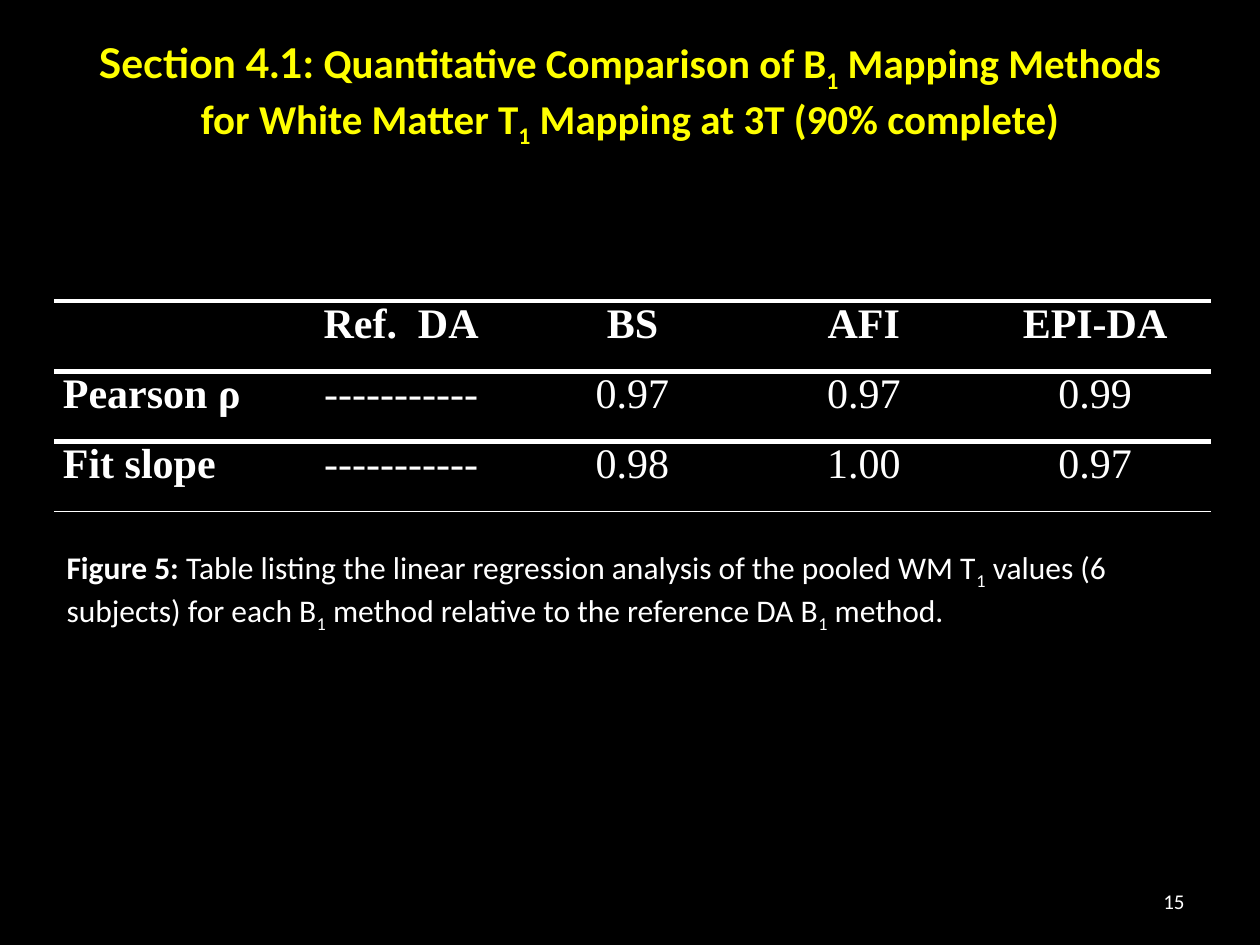
"""Build the slide on the regression of T1 values for each B1 method."""
from lxml.etree import SubElement as Sub
from pptx import Presentation
from pptx.dml.color import RGBColor as Rgb
from pptx.enum.text import MSO_ANCHOR as Anchor, MSO_AUTO_SIZE as Auto, PP_ALIGN as Align
from pptx.oxml.ns import qn
from pptx.util import Inches, Pt

WHITE, YELLOW, BLACK = "FFFFFF", "FFFF00", "000000"
PLAIN = "{2D5ABB26-0587-4C30-8999-92F81FD0307C}"
ROWS = [
    ["", "Ref.  DA", "BS", "AFI", "EPI-DA"],
    ["Pearson ρ", "-----------", "0.97", "0.97", "0.99"],
    ["Fit slope", "-----------", "0.98", "1.00", "0.97"],
]
RULES = [{"lnT": 3, "lnB": 3}, {"lnT": 3}, {"lnB": 1}]


def paint(code):
    return Rgb.from_string(code)


def write(para, text, size=18, color=WHITE, font="Calibri", bold=False, low=False):
    run = para.add_run()
    run.text = text
    style = run.font
    style.size, style.name, style.bold = Pt(size), font, bold
    style.color.rgb = paint(color)
    if low:
        run._r.get_or_add_rPr().set("baseline", "-25000")


def mix(para, text, **form):
    for i, part in enumerate(text.split("_")):
        write(para, part, low=i % 2 == 1, **form)


def rule(cell, side, width):
    props = cell._tc.get_or_add_tcPr()
    line = Sub(props, qn("a:" + side), w=str(Pt(width)))
    fill = Sub(line, qn("a:solidFill"))
    Sub(fill, qn("a:srgbClr"), val=WHITE)


class Deck:
    def __init__(self):
        self.file = Presentation()
        self.file.slide_width, self.file.slide_height = Inches(10), Inches(7.5)
        self.slide = self.file.slides.add_slide(self.file.slide_layouts[5])
        fill = self.slide.background.fill
        fill.solid()
        fill.fore_color.rgb = paint(BLACK)

    def title(self, box):
        shape = self.slide.shapes.title
        shape.left, shape.top, shape.width, shape.height = map(Inches, box)
        frame = shape.text_frame
        frame.word_wrap, frame.auto_size = True, Auto.NONE
        frame.vertical_anchor, frame.margin_top = Anchor.TOP, 0
        para = frame.paragraphs[0]
        para.alignment = Align.CENTER
        return para

    def text(self, box, align=Align.LEFT, anchor=Anchor.TOP):
        frame = self.slide.shapes.add_textbox(*map(Inches, box)).text_frame
        frame.word_wrap, frame.vertical_anchor = True, anchor
        para = frame.paragraphs[0]
        para.alignment = align
        return para

    def table(self, box, rows, rules):
        size = len(rows), len(rows[0])
        grid = self.slide.shapes.add_table(*size, *map(Inches, box)).table
        grid.first_row = grid.horz_banding = False
        grid._tbl.tblPr.find(qn("a:tableStyleId")).text = PLAIN
        for r, row in enumerate(rows):
            for c, text in enumerate(row):
                self.cell(grid.cell(r, c), text, r == 0 or c == 0, c > 0, rules[r])

    def cell(self, cell, text, bold, mid, rules):
        cell.margin_left = cell.margin_right = Inches(0.07)
        cell.margin_top = cell.margin_bottom = 0
        for side, width in rules.items():
            rule(cell, side, width)
        cell.fill.background()
        para = cell.text_frame.paragraphs[0]
        para.alignment = Align.CENTER if mid else Align.LEFT
        if text:
            write(para, text, size=24, font="Times New Roman", bold=bold)


def main():
    deck = Deck()
    head = deck.title((0.5, 0.3, 9, 1.25))
    form = {"size": 23.4, "color": YELLOW, "bold": True}
    write(head, "Section 4.1: ", font="Lato", **form)
    mix(head, "Quantitative Comparison of B_1_ Mapping Methods for White Matter "
        "T_1_ Mapping at 3T (90% complete)", **form)
    deck.table((0.43, 2.39, 9.18, 1.67), ROWS, RULES)
    note = deck.text((0.43, 4.3, 9.39, 1.01))
    write(note, "Figure 5: ", bold=True)
    mix(note, "Table listing the linear regression analysis of the pooled WM T_1_ values "
        "(6 subjects) for each B_1_ method relative to the reference DA B_1_ method.")
    page = deck.text((7.17, 6.95, 2.33, 0.4), Align.RIGHT, Anchor.MIDDLE)
    write(page, "15", size=12)
    deck.file.save("out.pptx")


if __name__ == "__main__":
    main()
